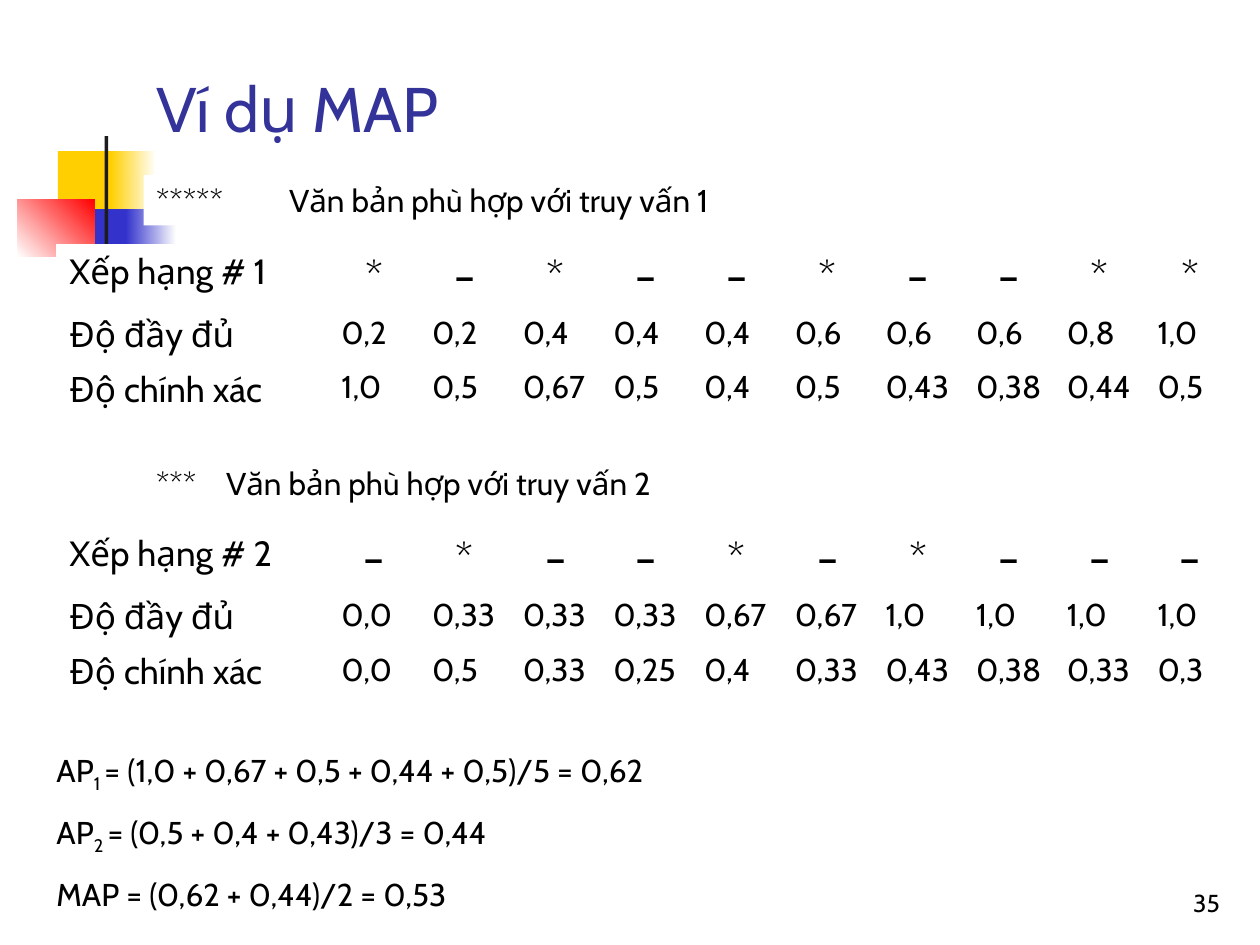
from pptx import Presentation
from pptx.dml.color import RGBColor
from pptx.enum.shapes import MSO_SHAPE as SHAPE
from pptx.enum.text import MSO_ANCHOR as ANCHOR, MSO_AUTO_SIZE as AUTO, PP_ALIGN as ALIGN
from pptx.util import Inches, Pt


def rgb(value):
    return RGBColor.from_string(value)


class Deck:
    """Holds the style and the current slide, and draws each kind of element."""

    font, ink, paper, accent = "Cabin", "000000", "FFFFFF", "333399"

    def __init__(self):
        self.prs = Presentation()
        self.prs.slide_width, self.prs.slide_height = Inches(10), Inches(7.5)
        self.s = self.prs.slides.add_slide(self.prs.slide_layouts[5])

    def style(self, p, size, color=ink, align=ALIGN.LEFT):
        p.font.name, p.font.size = self.font, Pt(size)
        p.font.color.rgb = rgb(color)
        p.alignment = align

    def title(self, text, box):
        sp = self.s.shapes.title
        sp.left, sp.top, sp.width, sp.height = map(Inches, box)
        tf = sp.text_frame
        tf.text = text
        tf.auto_size, tf.vertical_anchor = AUTO.NONE, ANCHOR.BOTTOM
        self.style(tf.paragraphs[0], 36, self.accent)

    def block(self, box, *colors, angle=0):
        sp = self.s.shapes.add_shape(SHAPE.RECTANGLE, *map(Inches, box))
        sp.shadow.inherit = False
        sp.line.fill.background()
        if len(colors) == 1:
            sp.fill.solid()
            sp.fill.fore_color.rgb = rgb(colors[0])
        else:
            sp.fill.gradient()
            sp.fill.gradient_angle = angle
            for stop, color in zip(sp.fill.gradient_stops, colors):
                stop.color.rgb = rgb(color)
        return sp

    def panel(self, box, lines):
        tf = self.block(box, self.paper).text_frame
        tf.word_wrap, tf.auto_size = True, AUTO.SHAPE_TO_FIT_TEXT
        tf.vertical_anchor = ANCHOR.TOP
        for i, line in enumerate(lines):
            p = tf.add_paragraph() if i else tf.paragraphs[0]
            self.style(p, 18)
            p.space_before = Pt(11 if i else 0)
            for j, part in enumerate(line):
                r = p.add_run()
                r.text = part
                if j == 1:
                    r.font._element.set("baseline", "-25000")

    def table(self, box, rows):
        table = self.s.shapes.add_table(len(rows), len(rows[0]), *map(Inches, box)).table
        table.first_row = table.horz_banding = False
        for i, column in enumerate(table.columns):
            column.width = Inches(0.72 if i else 2.16)
        for i, values in enumerate(rows):
            table.rows[i].height = Inches(0.43 if i else 0.5)
            for j, value in enumerate(values):
                cell = table.cell(i, j)
                cell.fill.solid()
                cell.fill.fore_color.rgb = rgb(self.paper)
                cell.text = value
                mark = i == 0 and j > 0
                size = 24 if mark else 18 if j else 20
                align = ALIGN.CENTER if mark else ALIGN.LEFT
                self.style(cell.text_frame.paragraphs[0], size, align=align)

    def page_number(self, text, box):
        tf = self.s.shapes.add_textbox(*map(Inches, box)).text_frame
        tf.word_wrap, tf.vertical_anchor = True, ANCHOR.BOTTOM
        tf.text = text
        self.style(tf.paragraphs[0], 14, align=ALIGN.RIGHT)


def main():
    deck = Deck()
    yellow, blue, red, white = "FFCF01", "3333CC", "FF0000", "FFFFFF"
    deck.block((0.46, 1.2, 0.48, 0.52), yellow)
    deck.block((0.88, 1.2, 0.36, 0.52), yellow, white)
    deck.block((0.59, 1.66, 0.46, 0.52), blue)
    deck.block((1, 1.66, 0.4, 0.52), blue, white)
    deck.block((0.14, 1.58, 0.61, 0.46), white, red, angle=45)
    deck.block((0.83, 1.08, 0.03, 1.15), "1C1C1C")
    deck.page_number("35", (7.7, 6.83, 2.08, 0.5))
    deck.title("Ví dụ MAP", (1.14, 0.52, 8.6, 0.68))

    queries = [
        ("*****", 1.39, 1.94, "*–*––*––**",
         "0,2 0,2 0,4 0,4 0,4 0,6 0,6 0,6 0,8 1,0",
         "1,0 0,5 0,67 0,5 0,4 0,5 0,43 0,38 0,44 0,5"),
        ("***", 3.63, 4.18, "–*––*–*–––",
         "0,0 0,33 0,33 0,33 0,67 0,67 1,0 1,0 1,0 1,0",
         "0,0 0,5 0,33 0,25 0,4 0,33 0,43 0,38 0,33 0,3"),
    ]
    for n, (stars, top, table_top, ranking, recall, precision) in enumerate(queries, 1):
        deck.panel((1.14, top, 7.64, 0.4), [[f"{stars}\t Văn bản phù hợp với truy vấn {n}"]])
        deck.table((0.45, table_top, 9.36, 1.36), [
            [f"Xếp hạng # {n}", *ranking],
            ["Độ đầy đủ", *recall.split()],
            ["Độ chính xác", *precision.split()],
        ])

    deck.panel((0.35, 5.91, 9.13, 1.3), [
        ["AP", "1 ", "= (1,0 + 0,67 + 0,5 + 0,44 + 0,5)/5 = 0,62"],
        ["AP", "2 ", "= (0,5 + 0,4 + 0,43)/3 = 0,44"],
        ["MAP = (0,62 + 0,44)/2 = 0,53"],
    ])
    deck.prs.save("out.pptx")


if __name__ == "__main__":
    main()
